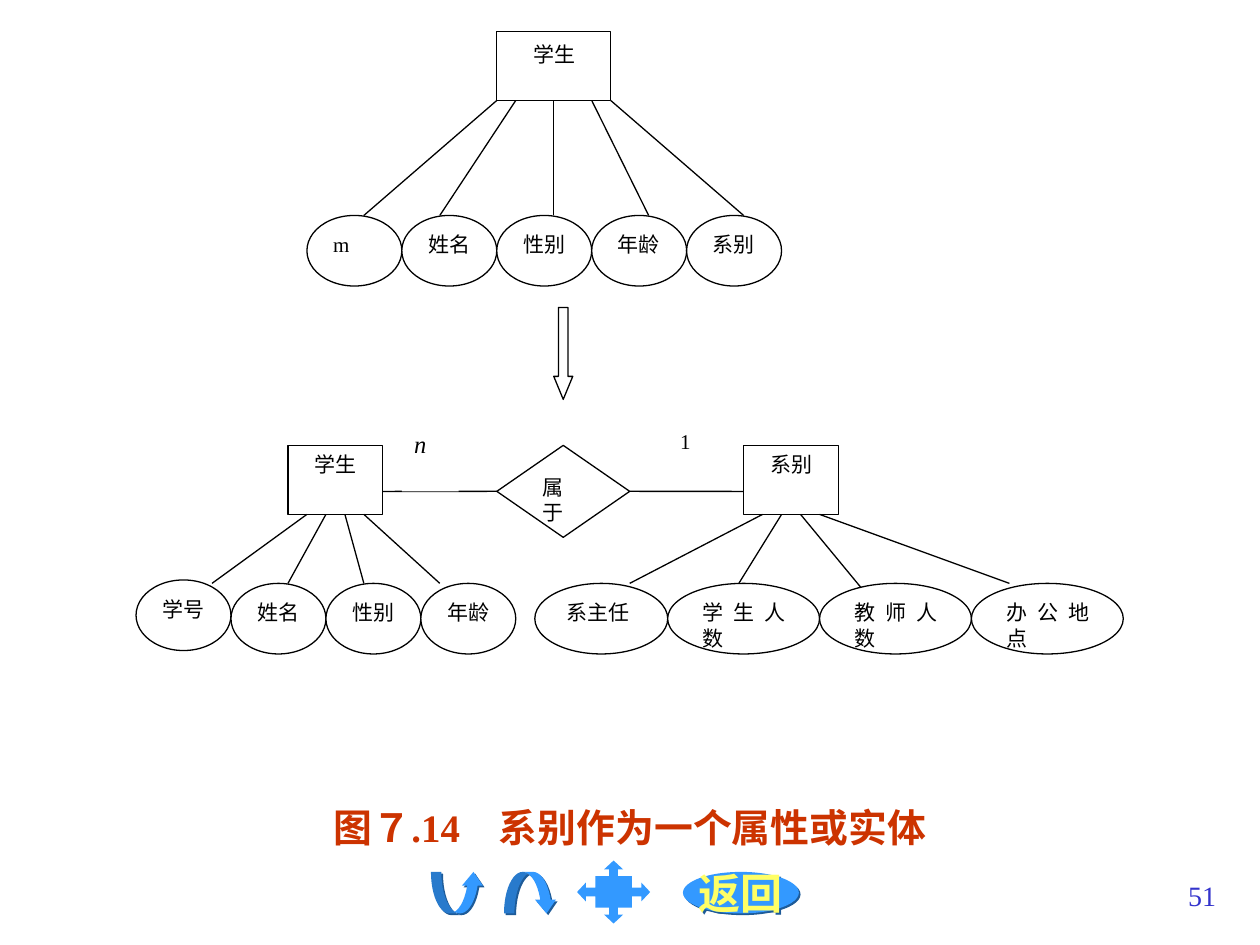
from lxml import etree
from pptx import Presentation
from pptx import util as u
from pptx.dml.color import RGBColor
from pptx.enum import shapes, text
from pptx.oxml import ns

BLACK = RGBColor(0, 0, 0)
WHITE = RGBColor(255, 255, 255)
RED = RGBColor(0xCC, 0x33, 0x00)
BLUE = RGBColor(0x33, 0x99, 0xFF)
YELLOW = RGBColor(0xFF, 0xFF, 0x66)
NUMBER_BLUE = RGBColor(0x33, 0x33, 0xCC)
SHADOW = "1E5B98"
FONT = "Times New Roman"
LEFT, TOP = 1.08, 0.25
COL, ROW = 6.63 / 44, 0.73 / 4
KIND = shapes.MSO_SHAPE
ALIGN = text.PP_ALIGN


def x(col):
    """Return the horizontal position of a grid column."""
    return u.Inches(LEFT + col * COL)


def y(row):
    """Return the vertical position of a grid row."""
    return u.Inches(TOP + row * ROW)


def write(frame, words, size, color=BLACK, align=ALIGN.JUSTIFY, bold=False, italic=False):
    """Append one run to the first paragraph of a frame."""
    paragraph = frame.paragraphs[0]
    paragraph.alignment = align
    run = paragraph.add_run()
    run.text = words
    font = run.font
    font.name, font.size, font.color.rgb = FONT, u.Pt(size), color
    font.bold, font.italic = bold, italic


def add_node(slide, kind, cols, rows, outlined=True):
    """Add a white diagram shape spanning (start, end) columns and rows."""
    (left, right), (top, bottom) = cols, rows
    node = slide.shapes.add_shape(kind, x(left), y(top), x(right) - x(left), y(bottom) - y(top))
    node.shadow.inherit = False
    node.fill.solid()
    node.fill.fore_color.rgb = WHITE
    if outlined:
        node.line.color.rgb = BLACK
        node.line.width = u.Pt(0.75)
    else:
        node.line.fill.background()
    node.text_frame.word_wrap = True
    node.text_frame.vertical_anchor = text.MSO_ANCHOR.TOP
    return node


def add_entity(slide, words, cols, rows):
    """Add an entity rectangle with a centred name."""
    entity = add_node(slide, KIND.RECTANGLE, cols, rows)
    write(entity.text_frame, words, 12, align=ALIGN.CENTER)
    return entity


def add_label(slide, words, size, cols, rows, italic=False):
    """Add a cardinality label on a white ground."""
    label = add_node(slide, KIND.RECTANGLE, cols, rows, outlined=False)
    write(label.text_frame, words, size, italic=italic)


def add_attributes(slide, names, col, row, width):
    """Add a row of touching attribute ellipses."""
    for index, name in enumerate(names):
        left = col + index * width
        attribute = add_node(slide, KIND.OVAL, (left, left + width), (row, row + 3.07))
        attribute.text_frame.margin_right = u.Inches(0.09)
        write(attribute.text_frame, name, 12)


def add_link(slide, start, end):
    """Add a thin straight line between two (column, row) points."""
    link = slide.shapes.add_connector(
        shapes.MSO_CONNECTOR.STRAIGHT, x(start[0]), y(start[1]), x(end[0]), y(end[1]))
    link.line.color.rgb = BLACK
    link.line.width = u.Pt(0.75)
    etree.SubElement(link.element.spPr, ns.qn("a:effectLst"))
    return link


def add_fan(slide, row, ends):
    """Add links from an entity's lower edge, given (from, to, to row)."""
    return [add_link(slide, (start, row), (end, end_row)) for start, end, end_row in ends]


def add_button(slide, kind, left, width, top=6.92, height=0.33, adjustments=(), shadowed=True):
    """Add a blue navigation button."""
    button = slide.shapes.add_shape(
        kind, u.Inches(left), u.Inches(top), u.Inches(width), u.Inches(height))
    button.shadow.inherit = False
    button.fill.solid()
    button.fill.fore_color.rgb = BLUE
    button.line.fill.background()
    for index, value in enumerate(adjustments):
        button.adjustments[index] = value
    if shadowed:
        effects = button.element.spPr.find(ns.qn("a:effectLst"))
        shadow = etree.SubElement(effects, ns.qn("a:outerShdw"), dist=str(u.Pt(1.4)),
                                  dir="2700000", algn="ctr", rotWithShape="0")
        etree.SubElement(shadow, ns.qn("a:srgbClr"), val=SHADOW)
    return button


def add_navigation(slide):
    """Add the row of navigation buttons."""
    curve = (0.25, 0.5, 0.33)
    add_button(slide, KIND.CURVED_UP_ARROW, 3.42, 0.42, adjustments=curve)
    add_button(slide, KIND.CURVED_DOWN_ARROW, 4, 0.42, adjustments=curve)
    back = add_button(slide, KIND.OVAL, 5.42, 0.92)
    back.text_frame.word_wrap = False
    back.text_frame.vertical_anchor = text.MSO_ANCHOR.MIDDLE
    write(back.text_frame, "返回", 24, YELLOW, ALIGN.CENTER, bold=True)
    add_button(slide, KIND.QUAD_ARROW_CALLOUT, 4.58, 0.58, 6.83, 0.5,
               (0.14, 0.15, 0.14, 0.5), shadowed=False)


def add_caption(slide):
    """Fill the body placeholder with the figure caption."""
    title, caption = slide.shapes.title, slide.placeholders[1]
    title.element.getparent().remove(title.element)
    caption.left, caption.top = u.Inches(0.75), u.Inches(6.33)
    caption.width, caption.height = u.Inches(8.5), u.Inches(0.5)
    frame = caption.text_frame
    frame.auto_size = text.MSO_AUTO_SIZE.NONE
    frame.vertical_anchor = text.MSO_ANCHOR.TOP
    frame.paragraphs[0].space_before = u.Pt(0)
    write(frame, "图７.14　系别作为一个属性或实体", 22.2, RED, ALIGN.CENTER, bold=True)


def add_attribute_model(slide):
    """Draw the model that keeps the department as an attribute."""
    student = add_node(slide, KIND.RECTANGLE, (19, 25), (0, 3))
    write(student.text_frame, "\u3000".replace("\u3000", "　"), 14)
    write(student.text_frame, "学生", 12)
    links = add_fan(slide, 3, [(19, 12, 8), (20, 16, 8), (22, 22, 8), (24, 27, 8), (25, 32, 8)])
    links[2].begin_connect(student, 2)
    add_attributes(slide, ["m", "姓名", "性别", "年龄", "系别"], 9, 8, 5)


def add_entity_model(slide):
    """Draw the model that turns the department into an entity."""
    add_entity(slide, "学生", (8, 13), (18, 21))
    add_fan(slide, 21, [(9, 4, 24), (10, 8, 24), (11, 12, 24), (12, 16, 24)])
    add_entity(slide, "系别", (32, 37), (18, 21))
    add_fan(slide, 21, [(33, 26, 24), (34, 31, 25), (35, 39, 25), (36, 46, 24)])
    belongs = add_node(slide, KIND.DIAMOND, (19, 26), (18, 22))
    write(belongs.text_frame, "属于", 12)
    add_link(slide, (13, 20), (19, 20)).end_connect(belongs, 1)
    add_label(slide, "n", 14, (14, 17), (17, 20), italic=True)
    add_label(slide, "1", 12, (28, 31), (17, 21))
    add_link(slide, (26, 20), (32, 20)).begin_connect(belongs, 3)
    add_attributes(slide, ["学号"], 0, 23.85, 5)
    add_attributes(slide, ["姓名", "性别", "年龄"], 5, 24, 5)
    add_attributes(slide, ["系主任"], 21, 24, 7)
    add_attributes(slide, ["学生人数", "教师人数", "办公地点"], 28, 24, 8)


def add_page_number(slide):
    """Add the page number at the lower right."""
    number = slide.shapes.add_textbox(
        u.Inches(7.67), u.Inches(6.92), u.Inches(2.08), u.Inches(0.5))
    number.text_frame.word_wrap = True
    write(number.text_frame, "51", 16, NUMBER_BLUE, ALIGN.RIGHT)


def main():
    """Build and save the slide."""
    deck = Presentation()
    deck.slide_width, deck.slide_height = u.Inches(10), u.Inches(7.5)
    slide = deck.slides.add_slide(deck.slide_layouts.get_by_name("Section Header"))
    add_navigation(slide)
    add_caption(slide)
    add_attribute_model(slide)
    step = add_node(slide, KIND.DOWN_ARROW, (22, 23), (12, 16))
    step.adjustments[0], step.adjustments[1] = 0.5, 1.21
    add_entity_model(slide)
    add_page_number(slide)
    deck.save("out.pptx")


if __name__ == "__main__":
    main()
